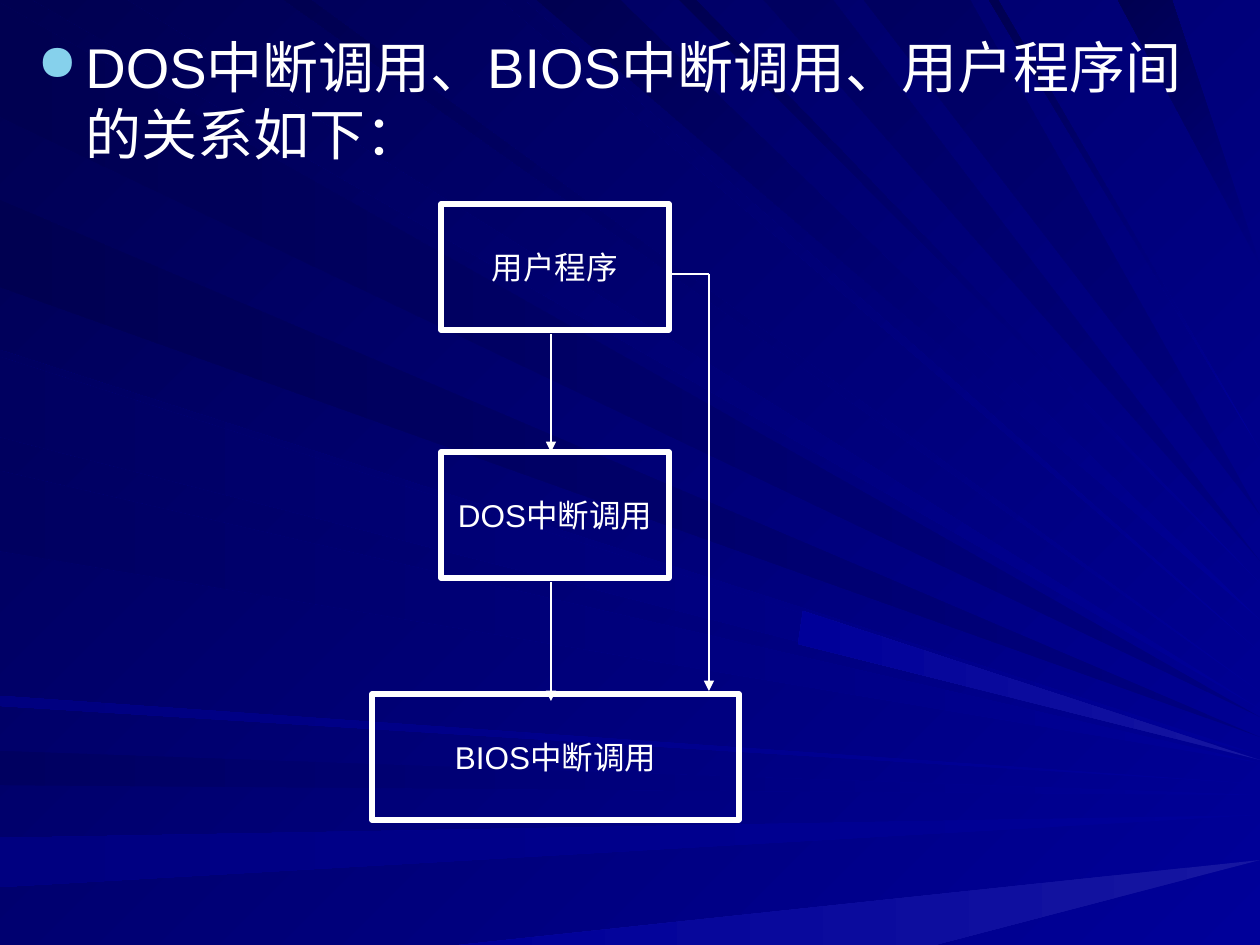
from lxml.etree import SubElement
from pptx import Presentation
from pptx.dml.color import RGBColor
from pptx.enum.shapes import MSO_CONNECTOR as CONN, MSO_SHAPE as SHAPE
from pptx.enum.text import MSO_ANCHOR as ANCHOR, PP_ALIGN as ALIGN
from pptx.oxml.ns import qn
from pptx.util import Emu, Pt

PX = 914400 / 126
WIDTH, HEIGHT = 1260, 945
FONT = "Arial"
WHITE = RGBColor(0xFF, 0xFF, 0xFF)
SKY = RGBColor(0x86, 0xD1, 0xEC)
BLUE = RGBColor(0x00, 0x00, 0x99)
GLOW = RGBColor(0x16, 0x16, 0xA1)
NAVY = RGBColor(0x00, 0x00, 0x80)
DIM = RGBColor(0x00, 0x00, 0x60)
DARK = RGBColor(0x00, 0x00, 0x51)
LEFTWARD, UP_LEFT = 180, 135

LEFT_RAYS = [
    (3, 117, 717, NAVY, DARK),
    (751, 785, 795, BLUE, DIM),
    (838, 887, 815, BLUE, NAVY),
    (200, 287, 737, NAVY, DARK),
    (350, 431, 755, BLUE, DIM),
    (471, 551, 763, BLUE, DIM),
    (696, 706, 784, BLUE, NAVY),
    (357, 437, 760, BLUE, DIM),
]
TOP_RAYS = [
    (33, 127, 709, BLUE, DARK),
    (501, 524, 652, BLUE, DIM),
    (537, 620, 620, BLUE, DARK),
    (680, 696, 583, BLUE, DARK),
    (764, 833, 561, NAVY, DIM),
    (1118, 1172, 265, NAVY, DARK),
    (284, 311, 692, BLUE, DARK),
    (864, 970, 515, NAVY, DIM),
    (989, 998, 450, BLUE, DARK),
]

BOXES = [
    ("DOS中断调用", 441, 452, 228),
    ("用户程序", 441, 204, 228),
    ("BIOS中断调用", 372, 694, 367),
]
BOX_HEIGHT = 126

LINES = [
    (551, 334, 551, 452, True),
    (551, 582, 551, 701, True),
    (669, 274, 709, 274, False),
    (709, 274, 709, 691, True),
]


def px(n):
    return Emu(round(n * PX))


def paint(fill, start, end, angle):
    fill.gradient()
    fill.gradient_angle = angle
    for stop, color in zip(fill.gradient_stops, (start, end)):
        stop.color.rgb = color


def add_ray(group, base, tip_y, start, end, angle):
    builder = group.shapes.build_freeform(WIDTH, tip_y, scale=PX)
    builder.add_line_segments(base, close=True)
    sp = builder.convert_to_shape()
    sp.shadow.inherit = False
    paint(sp.fill, start, end, angle)
    sp.line.fill.background()


def add_rays(s):
    group = s.shapes.add_group_shape()
    for left, right, tip_y, start, end in TOP_RAYS:
        add_ray(group, [(left, 0), (right, 0)], tip_y, start, end, UP_LEFT)
    for top, bottom, tip_y, start, end in LEFT_RAYS:
        add_ray(group, [(0, top), (0, bottom)], tip_y, start, end, LEFTWARD)
    add_ray(group, [(459, HEIGHT), (935, HEIGHT)], 860, GLOW, BLUE, LEFTWARD)
    add_ray(group, [(803, 611), (798, 644)], 760, GLOW, BLUE, LEFTWARD)


def add_bullet(p, char, color, percent, indent):
    pPr = p._p.get_or_add_pPr()
    pPr.set("marL", str(px(indent)))
    pPr.set("indent", str(-px(indent)))
    clr = SubElement(pPr, qn("a:buClr"))
    SubElement(clr, qn("a:srgbClr"), val=str(color))
    SubElement(pPr, qn("a:buSzPct"), val=str(percent * 1000))
    SubElement(pPr, qn("a:buChar"), char=char)


def write(tf, text, size=18, color=WHITE, align=ALIGN.LEFT, anchor=ANCHOR.TOP,
          wrap=True, bullet=None):
    tf.word_wrap = wrap
    tf.vertical_anchor = anchor
    p = tf.paragraphs[0]
    p.alignment = align
    if bullet:
        add_bullet(p, bullet, SKY, 90, 48)
    r = p.add_run()
    r.text = text
    r.font.name = FONT
    r.font.size = Pt(size)
    r.font.color.rgb = color


def add_box(s, text, x, y, w):
    sp = s.shapes.add_shape(SHAPE.RECTANGLE, px(x), px(y), px(w), px(BOX_HEIGHT))
    sp.shadow.inherit = False
    sp.fill.background()
    sp.line.color.rgb = WHITE
    sp.line.width = Pt(3)
    write(sp.text_frame, text, align=ALIGN.CENTER, anchor=ANCHOR.MIDDLE, wrap=False)


def add_line(s, x1, y1, x2, y2, arrow):
    cxn = s.shapes.add_connector(CONN.STRAIGHT, px(x1), px(y1), px(x2), px(y2))
    cxn.line.color.rgb = WHITE
    cxn.line.width = Pt(0.75)
    if arrow:
        ln = cxn._element.spPr.find(qn("a:ln"))
        SubElement(ln, qn("a:tailEnd"), type="triangle")
    SubElement(cxn._element.spPr, qn("a:effectLst"))


def main():
    prs = Presentation()
    prs.slide_width, prs.slide_height = px(WIDTH), px(HEIGHT)
    s = prs.slides.add_slide(prs.slide_layouts[6])
    paint(s.background.fill, BLUE, DARK, UP_LEFT)
    add_rays(s)
    body = s.shapes.add_textbox(px(25), px(26), px(1211), px(883))
    write(body.text_frame, "DOS中断调用、BIOS中断调用、用户程序间的关系如下：",
          size=32, bullet="●")
    for box in BOXES:
        add_box(s, *box)
    for line in LINES:
        add_line(s, *line)
    prs.save("out.pptx")


if __name__ == "__main__":
    main()
